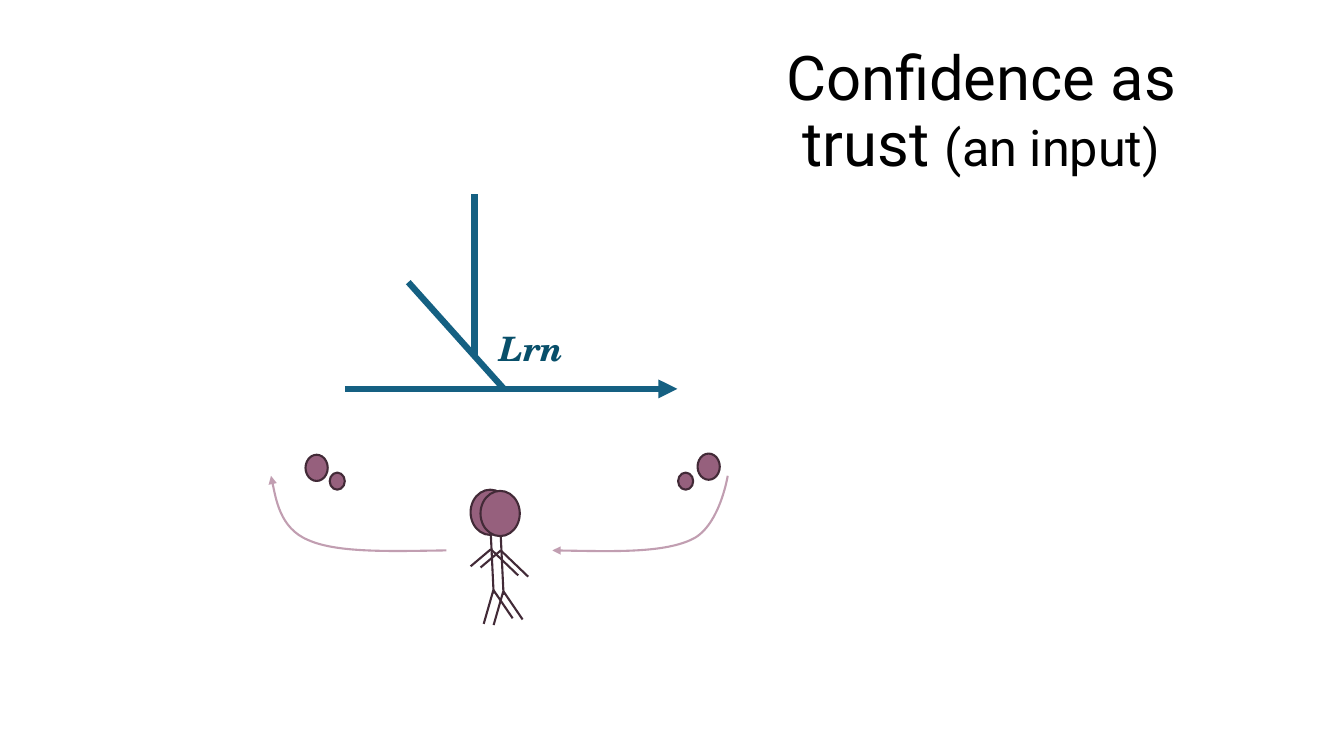
from lxml.etree import SubElement
from pptx import Presentation
from pptx.dml.color import RGBColor
from pptx.enum.shapes import MSO_CONNECTOR as Connector, MSO_SHAPE as Shape
from pptx.enum.text import MSO_ANCHOR as Anchor, MSO_AUTO_SIZE as AutoSize, PP_ALIGN as Align
from pptx.oxml.ns import qn
from pptx.util import Cm, Pt

PLUM, DARK_PLUM, PALE_PLUM = "96607D", "422A37", "C19EB1"
BLUE, DARK_BLUE, BLACK = "156082", "084F6A", "000000"


def color(target, value):
    """Colour a font, a fill or a line."""
    if hasattr(target, "solid"):
        target.solid()
        target.fore_color.rgb = RGBColor.from_string(value)
    elif hasattr(target, "fill") and hasattr(target, "dash_style"):
        color(target.fill, value)
    else:
        target.color.rgb = RGBColor.from_string(value)


def outline(shape, value, width, arrow=None):
    """Draw a plain line; arrow is headEnd or tailEnd."""
    color(shape.line, value)
    shape.line.width = Pt(width)
    if arrow:
        SubElement(shape.line._get_or_add_ln(), qn("a:" + arrow), type="triangle")
    properties = shape._element.spPr
    if properties.find(qn("a:effectLst")) is None:
        SubElement(properties, qn("a:effectLst"))


presentation = Presentation()
presentation.slide_width, presentation.slide_height = Cm(33.87), Cm(19.05)
slide = presentation.slides.add_slide(presentation.slide_layouts[5])

# Title
title = slide.shapes.title
title.left, title.top, title.width, title.height = Cm(17.91), Cm(1.02), Cm(13.64), Cm(3.68)
title.text_frame.word_wrap = True
title.text_frame.auto_size = AutoSize.NONE
title.text_frame.vertical_anchor = Anchor.MIDDLE
paragraph = title.text_frame.paragraphs[0]
paragraph.alignment = Align.CENTER
paragraph.line_spacing = 0.9
for text, size in (("Confidence as trust ", 44), ("(an input)", 36)):
    run = paragraph.add_run()
    run.text = text
    for name, value in {"name": "Roboto", "size": Pt(size)}.items():
        setattr(run.font, name, value)
    color(run.font, BLACK)

# Two overlapping stick figures
limbs = [
    (12.37, 13.49, 12.44, 14.96),  # body
    (12.43, 14.88, 12.19, 15.72),  # legs
    (12.43, 14.86, 12.92, 15.58),
    (12.37, 13.84, 13.06, 14.5),  # arms
    (12.37, 13.84, 11.86, 14.27),
]
for shift_x, shift_y in ((0, 0), (0.25, 0.03)):
    figure = slide.shapes.add_group_shape()
    head = figure.shapes.add_shape(
        Shape.OVAL, Cm(11.86 + shift_x), Cm(12.34 + shift_y), Cm(0.99), Cm(1.14))
    color(head.fill, PLUM)
    outline(head, DARK_PLUM, 1.5)
    for x1, y1, x2, y2 in limbs:
        limb = figure.shapes.add_connector(
            Connector.STRAIGHT, Cm(x1 + shift_x), Cm(y1 + shift_y),
            Cm(x2 + shift_x), Cm(y2 + shift_y))
        outline(limb, DARK_PLUM, 1.5)

# Learning diagram: the arrow and its two inputs
for x1, y1, x2, y2, arrow in (
    (8.69, 9.8, 17.07, 9.8, "tailEnd"),
    (10.29, 7.11, 12.7, 9.8, None),
    (11.96, 4.9, 11.96, 8.97, None),
):
    line = slide.shapes.add_connector(Connector.STRAIGHT, Cm(x1), Cm(y1), Cm(x2), Cm(y2))
    outline(line, BLUE, 4.5, arrow)

label = slide.shapes.add_textbox(Cm(12.19), Cm(8.13), Cm(2.41), Cm(1.27))
label.text_frame.word_wrap = True
label.text_frame.auto_size = AutoSize.SHAPE_TO_FIT_TEXT
paragraph = label.text_frame.paragraphs[0]
paragraph.alignment = Align.CENTER
run = paragraph.add_run()
run.text = "Lrn"
label_format = {"name": "TeX Gyre Schola", "size": Pt(24), "bold": True, "italic": True}
for name, value in label_format.items():
    setattr(run.font, name, value)
color(run.font, DARK_BLUE)

# Curved arrows, the right one mirroring the left
curve = [(11.25, 13.87), (9.88, 13.89), (8.51, 13.94), (7.77, 13.61),
         (7.04, 13.31), (6.83, 11.99), (6.83, 11.99)]
mirrored = [(25.17 - x, y) for x, y in curve]
for points, arrow in ((curve, "tailEnd"), (mirrored, "headEnd")):
    start, *others = [(Cm(x), Cm(y)) for x, y in points]
    builder = slide.shapes.build_freeform(*start)
    builder.add_line_segments(others, close=False)
    arc = builder.convert_to_shape()
    arc.fill.background()
    outline(arc, PALE_PLUM, 1.5, arrow)
    # Turn each three straight segments into one Bézier curve
    outline_path = arc._element.spPr.find(".//" + qn("a:path"))
    segments = outline_path.findall(qn("a:lnTo"))
    for first in range(0, len(segments), 3):
        bezier = SubElement(outline_path, qn("a:cubicBezTo"))
        for segment in segments[first:first + 3]:
            bezier.append(segment[0])
            outline_path.remove(segment)

# Thought bubbles
for left, top, width, height in (
    (7.7, 11.46, 0.56, 0.66),
    (8.31, 11.91, 0.38, 0.43),
    (17.58, 11.43, 0.56, 0.66),
    (17.09, 11.91, 0.38, 0.43),
):
    bubble = slide.shapes.add_shape(Shape.OVAL, Cm(left), Cm(top), Cm(width), Cm(height))
    color(bubble.fill, PLUM)
    outline(bubble, DARK_PLUM, 1.5)

presentation.save("out.pptx")
